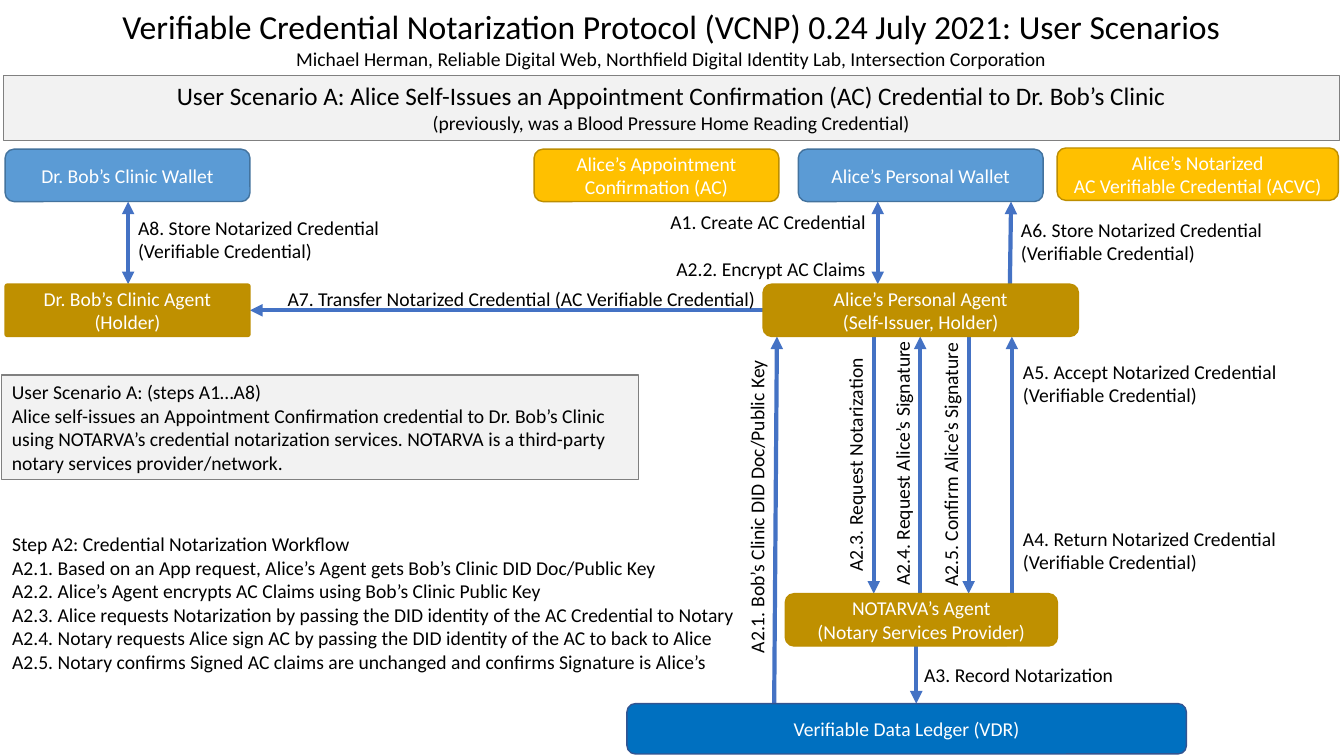
"""Build the credential notarization user scenario slide."""
from lxml import etree
from pptx import Presentation
from pptx.dml.color import RGBColor
from pptx.enum.shapes import MSO_CONNECTOR, MSO_SHAPE
from pptx.enum.text import MSO_ANCHOR, MSO_AUTO_SIZE, PP_ALIGN
from pptx.oxml.ns import qn
from pptx.util import Cm, Pt

ROUNDED, RECTANGLE = MSO_SHAPE.ROUNDED_RECTANGLE, MSO_SHAPE.RECTANGLE
LEFT, CENTER, RIGHT = PP_ALIGN.LEFT, PP_ALIGN.CENTER, PP_ALIGN.RIGHT
TOP, MIDDLE = MSO_ANCHOR.TOP, MSO_ANCHOR.MIDDLE
FONT, BLACK, WHITE, ARROW = "Calibri", "000000", "FFFFFF", "4472C4"
WALLET = ("5B9BD5", "43739E")
CREDENTIAL = ("FFC000", "BD8E00")
AGENT = ("BF9000", "BD8E00")
LEDGER = ("0070C0", "325491")
PANEL = ("F2F2F2", "808080")

WALLET_ROW, AGENT_ROW, NOTARY_ROW, LEDGER_ROW = 3.76, 7.16, 14.96, 17.73
NODE_WIDTH, NODE_HEIGHT, LEDGER_HEIGHT = 6.17, 1.32, 1.27
WALLET_END, AGENT_END, NOTARY_END = (
    row + NODE_HEIGHT for row in (WALLET_ROW, AGENT_ROW, NOTARY_ROW))
LABEL_HEIGHT, LINE_HEIGHT = 0.86, 0.6

TITLE = [
    "Verifiable Credential Notarization Protocol (VCNP) 0.24 July 2021: User Scenarios",
    "Michael Herman, Reliable Digital Web, Northfield Digital Identity Lab, "
    "Intersection Corporation",
]
STEPS = [
    "Step A2: Credential Notarization Workflow",
    "A2.1. Based on an App request, Alice’s Agent gets Bob’s Clinic DID Doc/Public Key",
    "A2.2. Alice’s Agent encrypts AC Claims using Bob’s Clinic Public Key",
    "A2.3. Alice requests Notarization by passing the DID identity of the AC Credential to Notary",
    "A2.4. Notary requests Alice sign AC by passing the DID identity of the AC to back to Alice",
    "A2.5. Notary confirms Signed AC claims are unchanged and confirms Signature is Alice’s",
]
PANELS = [
    (["User Scenario A: Alice Self-Issues an Appointment Confirmation (AC) Credential "
      "to Dr. Bob’s Clinic",
      "(previously, was a Blood Pressure Home Reading Credential)"],
     (0.08, 1.91, 33.68, 1.63), CENTER, 18),
    (["User Scenario A: (steps A1…A8)",
      "Alice self-issues an Appointment Confirmation credential to Dr. Bob’s Clinic "
      "using NOTARVA’s credential notarization services. NOTARVA is a third-party "
      "notary services provider/network."],
     (0.05, 9.45, 16.05, 2.64), LEFT, 14),
]
NODES = [
    (["Dr. Bob’s Clinic Wallet"], 0.13, WALLET_ROW, NODE_WIDTH, NODE_HEIGHT, WALLET, 0.167),
    (["Alice’s Appointment Confirmation (AC)"],
     13.46, WALLET_ROW, NODE_WIDTH, NODE_HEIGHT, CREDENTIAL, 0.167),
    (["Alice’s Personal Wallet"], 20.12, WALLET_ROW, NODE_WIDTH, NODE_HEIGHT, WALLET, 0.167),
    (["Alice’s Notarized", "AC Verifiable Credential (ACVC)"],
     26.64, 3.73, 7.09, NODE_HEIGHT, CREDENTIAL, 0.167),
    (["Dr. Bob’s Clinic Agent", "(Holder)"],
     0.13, AGENT_ROW, NODE_WIDTH, NODE_HEIGHT, AGENT, 0.043),
    (["Alice’s Personal Agent", "(Self-Issuer, Holder)"],
     19.23, AGENT_ROW, 7.95, NODE_HEIGHT, AGENT, 0.167),
    (["NOTARVA’s Agent", "(Notary Services Provider)"],
     19.79, NOTARY_ROW, 6.86, NODE_HEIGHT, AGENT, 0.167),
    (["Verifiable Data Ledger (VDR)"],
     15.8, LEDGER_ROW, 14.1, LEDGER_HEIGHT, LEDGER, 0.167),
]
ARROWS = [
    (3.23, AGENT_ROW, 3.23, WALLET_END, True),
    (22.12, AGENT_ROW, 22.12, WALLET_END, True),
    (25.45, AGENT_ROW, 25.48, WALLET_END, False),
    (19.23, 7.82, 6.3, 7.82, False),
    (19.51, LEDGER_ROW, 19.58, AGENT_END, False),
    (22.02, AGENT_END, 22.02, NOTARY_ROW, False),
    (23.19, NOTARY_ROW, 23.19, AGENT_END, False),
    (24.41, AGENT_END, 24.41, NOTARY_ROW, False),
    (25.5, NOTARY_ROW, 25.5, AGENT_END, False),
    (23.09, NOTARY_END, 23.09, LEDGER_ROW, False),
]
VERIFIABLE = "(Verifiable Credential)"
LABELS = [
    (["A1. Create AC Credential"], 16.1, 5.16, 5.97, RIGHT),
    (["A2.2. Encrypt AC Claims"], 16.1, 6.36, 5.97, RIGHT),
    (["A3. Record Notarization"], 23.04, 16.59, 5.89, LEFT),
    (["A4. Return Notarized Credential", VERIFIABLE], 25.53, 13.15, 7.39, LEFT),
    (["A5. Accept Notarized Credential", VERIFIABLE], 25.53, 8.94, 7.39, LEFT),
    (["A6. Store Notarized Credential", VERIFIABLE], 25.48, 5.36, 7.52, LEFT),
    (["A7. Transfer Notarized Credential (AC Verifiable Credential)"],
     6.25, 7.11, 13.79, CENTER),
    (["A8. Store Notarized Credential", VERIFIABLE], 3.23, 5.31, 7.01, LEFT),
]
UPRIGHT_LABELS = [
    ("A2.1. Bob’s Clinic DID Doc/Public Key", 15.06, 12.34, 8.03),
    ("A2.3. Request Notarization", 18.31, 11.28, 6.5),
    ("A2.4. Request Alice’s Signature", 19.35, 11.25, 6.78),
    ("A2.5. Confirm Alice’s Signature", 20.57, 11.28, 6.78),
]


def color(value):
    return RGBColor.from_string(value)


def write(box, lines, align=LEFT, ink=BLACK, first_size=14, anchor=TOP, plain=False):
    frame = box.text_frame
    frame.word_wrap = True
    frame.auto_size = MSO_AUTO_SIZE.NONE
    frame.vertical_anchor = anchor
    for index, line in enumerate(lines):
        para = frame.add_paragraph() if index else frame.paragraphs[0]
        if plain:
            properties = para._p.get_or_add_pPr()
            properties.set("marL", "0")
            properties.set("indent", "0")
            etree.SubElement(properties, qn("a:buNone"))
        para.alignment = align
        para.space_before = Pt(0)
        span = para.add_run()
        span.text = line
        span.font.name = FONT
        span.font.size = Pt(14 if index else first_size)
        span.font.color.rgb = color(ink)


def place(box, left, top, width, height):
    box.left, box.top, box.width, box.height = map(Cm, (left, top, width, height))


def add_block(page, kind, bounds, colors, line_width):
    block = page.shapes.add_shape(kind, *map(Cm, bounds))
    block.shadow.inherit = False
    fill, line = colors
    block.fill.solid()
    block.fill.fore_color.rgb = color(fill)
    block.line.color.rgb = color(line)
    block.line.width = Pt(line_width)
    return block


def add_arrow(page, start_x, start_y, end_x, end_y, both_ends):
    arrow = page.shapes.add_connector(
        MSO_CONNECTOR.STRAIGHT, *map(Cm, (start_x, start_y, end_x, end_y)))
    arrow.line.color.rgb = color(ARROW)
    arrow.line.width = Pt(3)
    outline = arrow.line._get_or_add_ln()
    for end in ("a:headEnd", "a:tailEnd") if both_ends else ("a:tailEnd",):
        etree.SubElement(outline, qn(end), type="triangle")
    etree.SubElement(arrow._element.spPr, qn("a:effectLst"))


def add_label(page, lines, left, top, width, align):
    height = LABEL_HEIGHT + (len(lines) - 1) * LINE_HEIGHT
    label = page.shapes.add_textbox(*map(Cm, (left, top, width, height)))
    write(label, lines, align)
    return label


def main():
    deck = Presentation()
    deck.slide_width, deck.slide_height = Cm(33.87), Cm(19.05)
    page = deck.slides.add_slide(deck.slide_layouts[1])

    title, steps = page.placeholders
    place(title, 0.08, 0.03, 33.68, 1.88)
    write(title, TITLE, CENTER, first_size=24)
    place(steps, 0.05, 13.28, 18.82, 3.84)
    write(steps, STEPS, plain=True)

    for lines, bounds, align, first_size in PANELS:
        panel = add_block(page, RECTANGLE, bounds, PANEL, 0.75)
        write(panel, lines, align, first_size=first_size)
    for arrow in ARROWS:
        add_arrow(page, *arrow)
    for lines, left, top, width, height, colors, rounding in NODES:
        node = add_block(page, ROUNDED, (left, top, width, height), colors, 1)
        node.adjustments[0] = rounding
        write(node, lines, CENTER, WHITE, anchor=MIDDLE)
    for label in LABELS:
        add_label(page, *label)
    for text, left, top, width in UPRIGHT_LABELS:
        add_label(page, [text], left, top, width, CENTER).rotation = 270

    deck.save("out.pptx")


if __name__ == "__main__":
    main()
